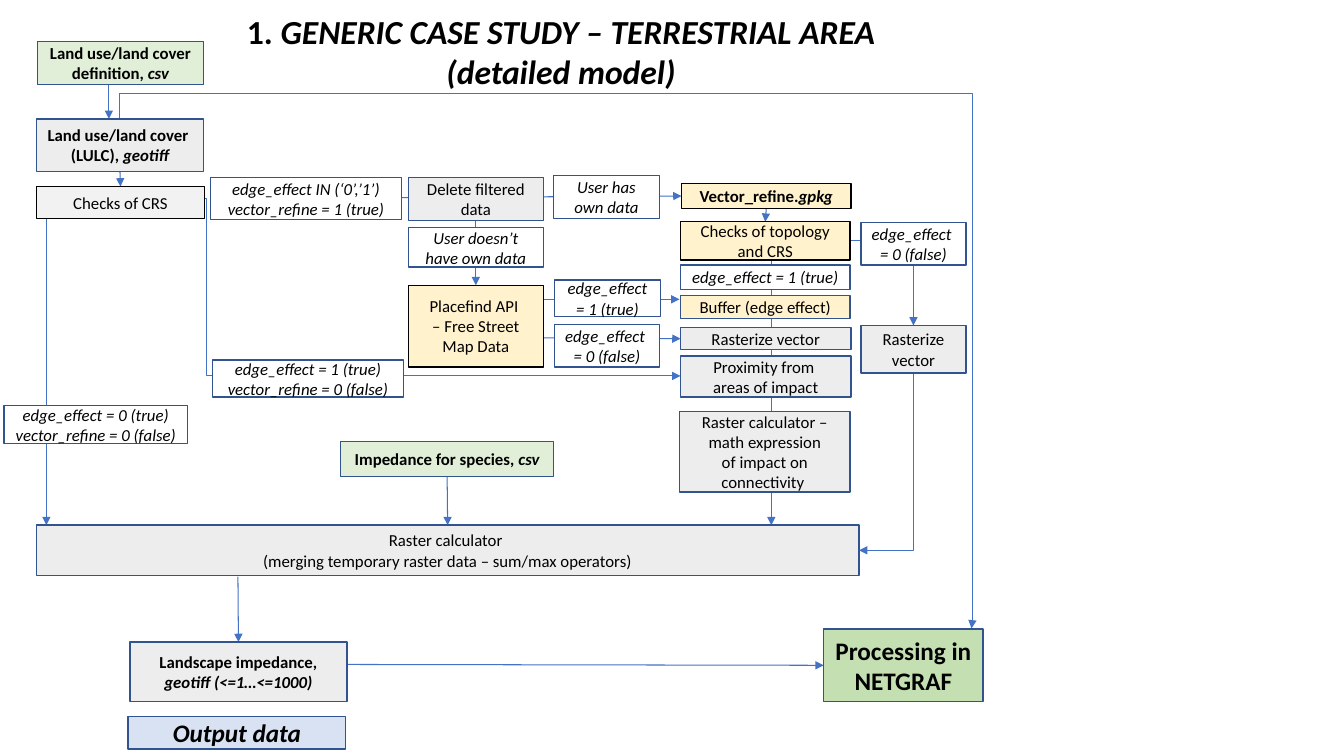
import dataclasses

import pptx
import pptx.dml.color
import pptx.enum.shapes
import pptx.enum.text
import pptx.oxml
import pptx.oxml.ns
import pptx.util
from pptx.util import Inches

BOTTOM, TOP, LEFT = 2, 0, 1


@dataclasses.dataclass(frozen=True)
class Theme:
    font: str = "Calibri"
    body: int = 12
    large: int = 18
    title: int = 24
    text: str = "000000"
    edge: str = "31538F"
    arrow: str = "4472C4"
    white: str = "FFFFFF"
    gray: str = "EDEDED"
    pale: str = "F2F2F2"
    yellow: str = "FFF2CC"
    mint: str = "E1EFD8"
    green: str = "C4E0B2"
    blue: str = "D8E2F3"


def color(value):
    return pptx.dml.color.RGBColor.from_string(value)


def drawing_element(tag, attributes=""):
    return pptx.oxml.parse_xml(f'<a:{tag} {pptx.oxml.ns.nsdecls("a")} {attributes}/>')


class FlowSlide:
    def __init__(self, slide, theme):
        self.slide = slide
        self.theme = theme

    def set_text(self, frame, text, size, bold, italic):
        frame.word_wrap = True
        for index, line in enumerate(text.split("\n")):
            paragraph = frame.paragraphs[0] if index == 0 else frame.add_paragraph()
            paragraph.alignment = pptx.enum.text.PP_ALIGN.CENTER
            for position, part in enumerate(line.split("|")):
                if part:
                    run = paragraph.add_run()
                    run.text = part
                    run.font.color.rgb = color(self.theme.text)
                    font_format = {
                        "name": self.theme.font,
                        "size": pptx.util.Pt(size),
                        "bold": bold,
                        "italic": italic or position % 2 == 1,
                    }
                    for name, value in font_format.items():
                        setattr(run.font, name, value)

    def title(self, bounds, text):
        shape = self.slide.shapes.add_textbox(*map(Inches, bounds))
        self.set_text(shape.text_frame, text, self.theme.title, True, False)
        shape.text_frame.auto_size = pptx.enum.text.MSO_AUTO_SIZE.SHAPE_TO_FIT_TEXT

    def box(self, bounds, text, fill, edge=None, size=None, bold=False, italic=False):
        shape = self.slide.shapes.add_shape(
            pptx.enum.shapes.MSO_SHAPE.RECTANGLE, *map(Inches, bounds))
        shape.shadow.inherit = False
        shape.fill.solid()
        shape.fill.fore_color.rgb = color(fill)
        shape.line.color.rgb = color(edge or self.theme.edge)
        shape.line.width = pptx.util.Pt(1)
        shape.text_frame.vertical_anchor = pptx.enum.text.MSO_ANCHOR.MIDDLE
        self.set_text(shape.text_frame, text, size or self.theme.body, bold, italic)
        return shape

    def condition(self, bounds, text):
        return self.box(bounds, text, self.theme.white, italic=True)

    def connector(self, kind, points):
        connector = self.slide.shapes.add_connector(kind, *map(Inches, points))
        connector.line.color.rgb = color(self.theme.arrow)
        connector.line.width = pptx.util.Pt(0.75)
        element = connector._element
        line = element.spPr.find(pptx.oxml.ns.qn("a:ln"))
        line.append(drawing_element("tailEnd", 'type="triangle"'))
        element.spPr.append(drawing_element("effectLst"))
        element.getparent().insert(2, element)
        return connector

    def arrow(self, points, begin=None, end=None):
        connector = self.connector(pptx.enum.shapes.MSO_CONNECTOR.STRAIGHT, points)
        if begin:
            connector.begin_connect(*begin)
        if end:
            connector.end_connect(*end)

    def elbow(self, bounds, preset, adjustments=(), **transform):
        left, top, width, height = bounds
        connector = self.connector(
            pptx.enum.shapes.MSO_CONNECTOR.ELBOW,
            (left, top, left + width, top + height))
        properties = connector._element.spPr
        for name, value in transform.items():
            properties.find(pptx.oxml.ns.qn("a:xfrm")).set(name, value)
        geometry = properties.find(pptx.oxml.ns.qn("a:prstGeom"))
        geometry.set("prst", preset)
        guides = geometry.find(pptx.oxml.ns.qn("a:avLst"))
        for number, value in enumerate(adjustments, 1):
            guides.append(drawing_element("gd", f'name="adj{number}" fmla="val {value}"'))


def main():
    presentation = pptx.Presentation()
    presentation.slide_width = Inches(13.33)
    presentation.slide_height = Inches(7.5)
    theme = Theme()
    flow = FlowSlide(presentation.slides.add_slide(presentation.slide_layouts[6]), theme)

    flow.title((2.06, 0.06, 7.01, 0.91),
               "1. |GENERIC CASE STUDY – TERRESTRIAL AREA (detailed model)")

    flow.box((0.37, 0.41, 1.65, 0.43), "Land use/land cover definition, |csv",
             theme.mint, bold=True)
    land_cover = flow.box((0.36, 1.18, 1.66, 0.52),
                          "Land use/land cover \n(LULC), |geotiff", theme.gray, bold=True)
    crs_checks = flow.box((0.36, 1.85, 1.67, 0.32), "Checks of CRS", theme.pale, theme.text)
    delete_data = flow.box((4.05, 1.76, 1.34, 0.43), "Delete filtered data", theme.gray)
    map_data = flow.box((4.05, 2.83, 1.34, 0.81),
                        "Placefind API \n– Free Street Map Data", theme.yellow, theme.text)
    vector_refine = flow.box((6.76, 1.82, 1.68, 0.25), "Vector_refine.|gpkg",
                             theme.yellow, theme.text, bold=True)
    topology_checks = flow.box((6.75, 2.2, 1.68, 0.38), "Checks of topology and CRS",
                               theme.yellow, theme.text)
    flow.box((6.75, 2.93, 1.68, 0.23), "Buffer (edge effect)", theme.yellow)
    rasterize = flow.box((6.75, 3.25, 1.69, 0.22), "Rasterize vector", theme.gray)
    flow.box((6.75, 3.53, 1.69, 0.41), "Proximity from \nareas of impact", theme.gray)
    flow.box((6.74, 4.08, 1.69, 0.8),
             "Raster calculator – math expression\nof impact on connectivity ", theme.gray)
    flow.box((8.54, 3.23, 1.04, 0.47), "Rasterize vector", theme.gray)
    species = flow.box((3.38, 4.38, 2.11, 0.35), "Impedance for species|, csv",
                       theme.mint, bold=True)
    calculator = flow.box(
        (0.36, 5.21, 8.16, 0.5),
        "Raster calculator \n(merging temporary raster data – sum/max operators)", theme.gray)
    landscape = flow.box((1.29, 6.37, 2.15, 0.59),
                         "Landscape impedance, |geotiff (<=1…<=1000)", theme.gray, bold=True)
    processing = flow.box((8.17, 6.24, 1.58, 0.72), "Processing in NETGRAF",
                          theme.green, size=theme.large, bold=True)
    flow.box((1.27, 7.11, 2.16, 0.32), "Output data", theme.blue,
             size=theme.large, bold=True, italic=True)

    for bounds, text in (
        ((2.09, 1.76, 1.89, 0.42), "edge_effect IN (‘0’,’1’) vector_refine = 1 (true)"),
        ((5.49, 1.74, 1.05, 0.43), "User has own data"),
        ((4.05, 2.26, 1.34, 0.39), "User doesn’t have own data"),
        ((5.5, 2.78, 1.05, 0.36), "edge_effect = 1 (true)"),
        ((5.5, 3.22, 1.04, 0.42), "edge_effect \n= 0 (false)"),
        ((6.75, 2.63, 1.68, 0.24), "edge_effect = 1 (true)"),
        ((8.54, 2.21, 1.04, 0.42), "edge_effect \n= 0 (false)"),
        ((2.11, 3.57, 1.89, 0.37), "edge_effect = 1 (true)\nvector_refine = 0 (false)"),
        ((0.04, 4.02, 1.82, 0.38), "edge_effect = 0 (true)\nvector_refine = 0 (false)"),
    ):
        flow.condition(bounds, text)

    for points, begin, end in (
        ((1.08, 0.84, 1.08, 1.18), None, None),
        ((1.19, 1.7, 1.2, 1.85), (land_cover, BOTTOM), (crs_checks, TOP)),
        ((0.46, 2.16, 0.46, 5.21), None, None),
        ((2.18, 1.97, 6.76, 1.95), None, (vector_refine, LEFT)),
        ((4.72, 2.19, 4.72, 2.83), (delete_data, BOTTOM), (map_data, TOP)),
        ((5.12, 2.97, 6.74, 2.97), None, None),
        ((5, 3.35, 6.75, 3.36), None, (rasterize, LEFT)),
        ((7.6, 2.07, 7.59, 2.2), (vector_refine, BOTTOM), (topology_checks, TOP)),
        ((7.65, 2.35, 7.65, 5.21), None, None),
        ((4.44, 4.73, 4.44, 5.21), (species, BOTTOM), (calculator, TOP)),
        ((2.36, 5.72, 2.36, 6.37), None, (landscape, TOP)),
        ((2.23, 6.59, 8.17, 6.6), None, (processing, LEFT)),
    ):
        flow.arrow(points, begin, end)

    flow.elbow((8.43, 2.39, 0.63, 0.84), "bentConnector2")
    flow.elbow((7.91, 4.31, 1.76, 0.54), "bentConnector2", rot="5400000")
    flow.elbow((1.83, 1.97, 4.92, 1.76), "bentConnector3", (4400,))
    flow.elbow((2.88, -0.52, 5.06, 8.45), "bentConnector4", (-4900, 100100),
               rot="16200000", flipH="1")

    presentation.save("out.pptx")


if __name__ == "__main__":
    main()
